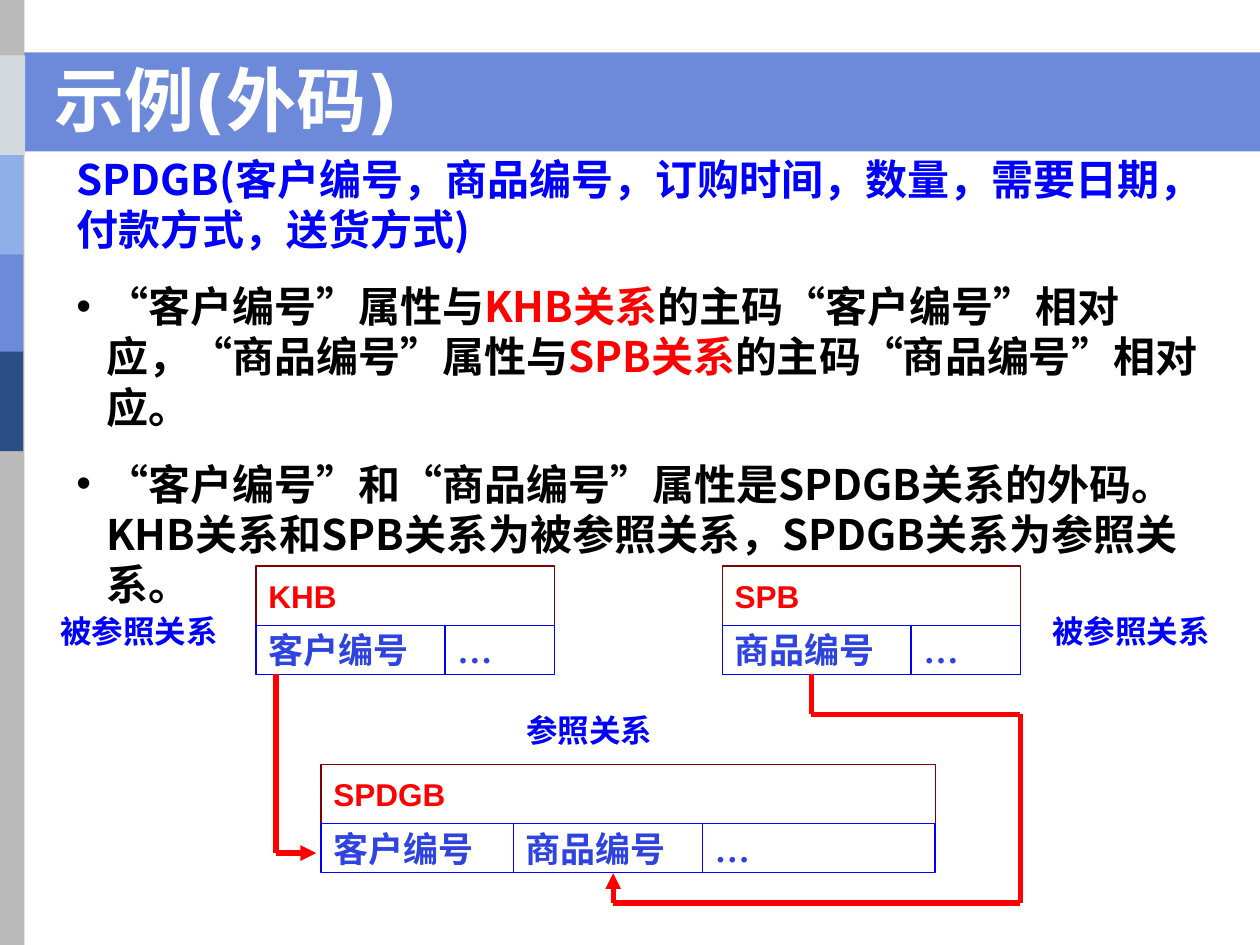
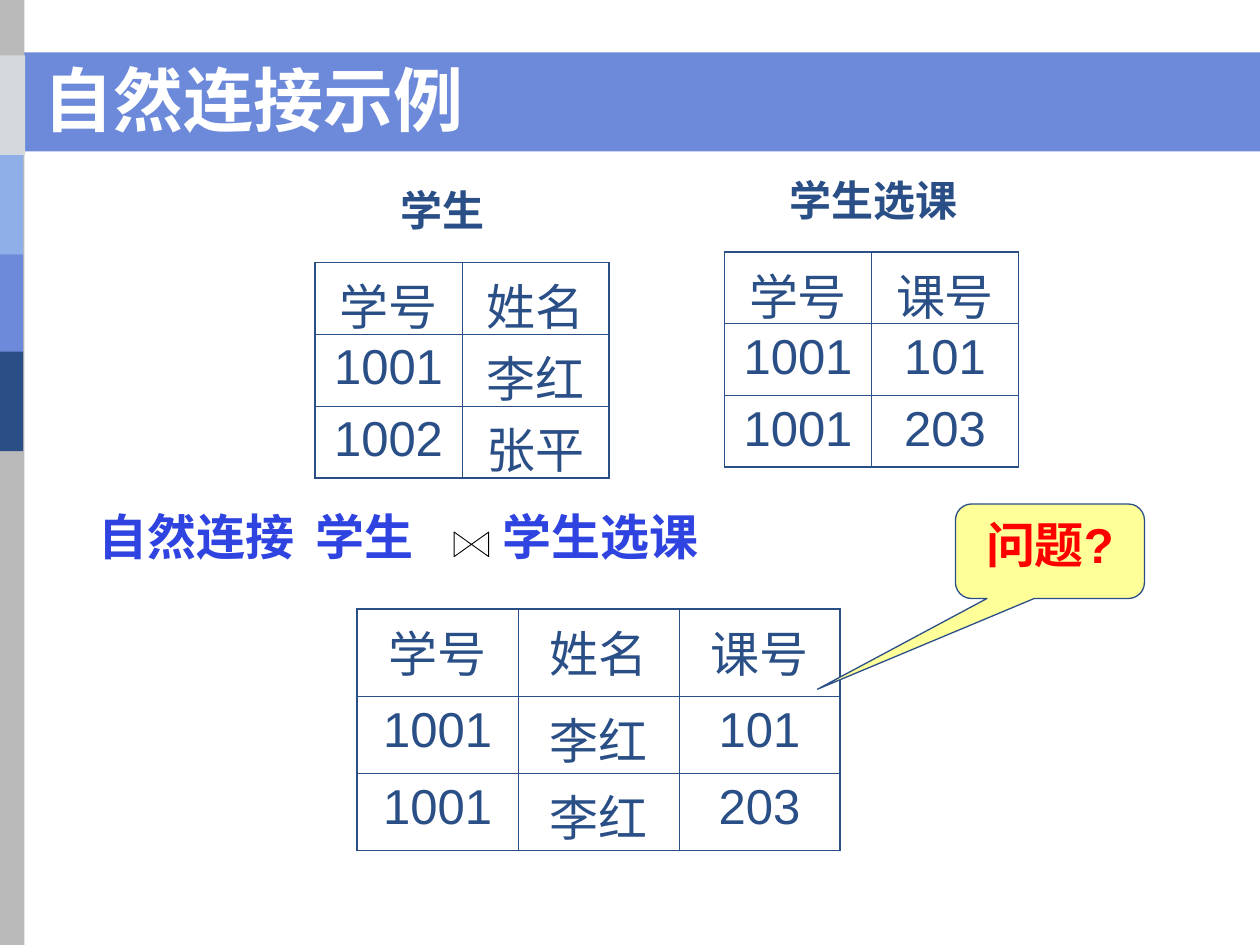
"""Build two database slides: a foreign key example and a natural join example."""
from lxml import etree
from pptx import Presentation
from pptx.dml.color import RGBColor
from pptx.enum import lang, shapes, text
from pptx.oxml.ns import qn
from pptx.util import Pt

COLORS = {
    "band": "6C89DA", "rail": "BABABA", "pale": "D3D9DD", "sky": "8FAFE9",
    "navy": "2A4F86", "white": "FFFFFF", "black": "000000", "blue": "0000FF",
    "field": "2E43E0", "red": "FF0000", "maroon": "800000", "yellow": "FFFF99",
}
CJK = "Noto Sans CJK SC"
BOX = shapes.MSO_SHAPE.RECTANGLE


def add_box(slide, kind, at, fill=None, line=None, width=0.75):
    box = slide.shapes.add_shape(kind, *map(Pt, at))
    box.shadow.inherit = False
    if fill:
        box.fill.solid()
        box.fill.fore_color.rgb = RGBColor.from_string(COLORS[fill])
    else:
        box.fill.background()
    if line:
        box.line.color.rgb = RGBColor.from_string(COLORS[line])
        box.line.width = Pt(width)
    else:
        box.line.fill.background()
    return box


def write(paragraph, pieces, size, color, font="Arial", bold=True, align="LEFT"):
    paragraph.alignment = getattr(text.PP_ALIGN, align)
    paragraph._p.get_or_add_pPr().set("hangingPunct", "0")
    for words, shade in pieces:
        run = paragraph.add_run()
        run.text = words
        run.font.size, run.font.bold, run.font.name = Pt(size), bold, font
        run.font.language_id = lang.MSO_LANGUAGE_ID.SIMPLIFIED_CHINESE
        run.font.color.rgb = RGBColor.from_string(COLORS[shade or color])
        east_asian = etree.Element(qn("a:ea"), typeface=CJK)
        run.font._element.find(qn("a:latin")).addnext(east_asian)


deck = Presentation()
deck.slide_width, deck.slide_height = Pt(720), Pt(540)

shared = [
    ("band", (0, 29.9, 720, 56.7)), ("rail", (-0.9, 0, 14.9, 540)),
    ("pale", (0, 31.7, 14.4, 56.9)), ("sky", (-1.2, 88.6, 14.4, 56.9)),
    ("band", (-1.2, 145.4, 14.4, 56.9)), ("navy", (-1.2, 200.9, 14.4, 56.9)),
]
slides = []
for title, left, width in [("示例(外码)", 24, 480), ("自然连接示例", 18, 408)]:
    slide = deck.slides.add_slide(deck.slide_layouts[6])
    for color, at in shared:
        add_box(slide, BOX, at, color)
    heading = slide.shapes.add_textbox(Pt(left), Pt(36), Pt(width), Pt(48)).text_frame
    heading.word_wrap = True
    heading.vertical_anchor = text.MSO_ANCHOR.BOTTOM
    write(heading.paragraphs[0], [(title, None)], 40, "white", "DejaVu Sans")
    slides.append(slide)
foreign_key, natural_join = slides

explanation = foreign_key.shapes.add_textbox(Pt(36.6), Pt(84.2), Pt(658), Pt(239)).text_frame
explanation.word_wrap = True
write(explanation.paragraphs[0],
      [("SPDGB(客户编号，商品编号，订购时间，数量，需要日期，付款方式，送货方式)", None)],
      24, "blue", CJK)
points = [
    [("“客户编号”属性与", None), ("KHB关系", "red"),
     ("的主码“客户编号”相对应，“商品编号”属性与", None), ("SPB关系", "red"),
     ("的主码“商品编号”相对应。", None)],
    [("“客户编号”和“商品编号”属性是SPDGB关系的外码。"
      "KHB关系和SPB关系为被参照关系，SPDGB关系为参照关系。", None)],
]
for pieces in points:
    point = explanation.add_paragraph()
    point.space_before = Pt(15)
    layout = point._p.get_or_add_pPr()
    layout.set("marL", str(Pt(17)))
    layout.set("indent", str(-Pt(17)))
    bullet_color = etree.SubElement(layout, qn("a:buClr"))
    etree.SubElement(bullet_color, qn("a:srgbClr"), val=COLORS["black"])
    etree.SubElement(layout, qn("a:buFont"), typeface="Arial")
    etree.SubElement(layout, qn("a:buChar"), char="•")
    write(point, pieces, 24, "black", CJK)

relations = [
    ("KHB", 146.3, 323.4, [("客户编号", 108), ("…", 62.6)]),
    ("SPB", 412.7, 323.4, [("商品编号", 108), ("…", 62.6)]),
    ("SPDGB", 183.4, 436.7, [("客户编号", 110), ("商品编号", 108), ("…", 133)]),
]
for relation, left, top, fields in relations:
    total = sum(width for _, width in fields)
    parts = [(relation, (left, top, total, 33.9), "maroon", 18, "red")]
    for field, width in fields:
        parts.append((field, (left, top + 33.9, width, 28.1), "blue", 20, "field"))
        left += width
    for words, at, line, size, color in parts:
        frame = add_box(foreign_key, BOX, at, line=line).text_frame
        frame.word_wrap = False
        frame.vertical_anchor = text.MSO_ANCHOR.MIDDLE
        font = "Times New Roman" if words == "…" else "Arial"
        write(frame.paragraphs[0], [(words, None)], size, color, font)

references = [
    [(157.7, 385.2), (157.7, 487.5), (180.7, 487.5)],
    [(463.7, 385.2), (463.7, 408.2), (583, 408.2), (583, 516),
     (350.4, 516), (350.4, 499)],
]
for route in references:
    for start, end in zip(route, route[1:]):
        segment = foreign_key.shapes.add_connector(
            shapes.MSO_CONNECTOR.STRAIGHT, *map(Pt, start + end))
        segment.line.color.rgb = RGBColor.from_string(COLORS["red"])
        segment.line.width = Pt(3)
        etree.SubElement(segment._element.spPr, qn("a:effectLst"))
    etree.SubElement(segment.line._get_or_add_ln(), qn("a:tailEnd"), type="triangle")

captions = [
    (foreign_key, "被参照关系", (27.4, 346, 108, 28.8), 18, "blue"),
    (foreign_key, "被参照关系", (594.3, 346, 108, 28.8), 18, "blue"),
    (foreign_key, "参照关系", (293.6, 402.5, 147.6, 28.8), 18, "blue"),
    (natural_join, "学生", (221.8, 102.2, 108, 36), 24, "navy"),
    (natural_join, "学生选课", (444.2, 96.1, 126, 36), 24, "navy"),
]
for slide, words, at, size, color in captions:
    caption = slide.shapes.add_textbox(*map(Pt, at)).text_frame
    caption.word_wrap = True
    write(caption.paragraphs[0], [(words, None)], size, color)

tables = [
    (180, 150, 84, [41, 41, 41], ["学号 姓名", "1001 李红", "1002 张平"]),
    (414, 144, 84, [41, 41, 41], ["学号 课号", "1001 101", "1001 203"]),
    (204, 348, 92, [50, 44, 44], ["学号 姓名 课号", "1001 李红 101", "1001 李红 203"]),
]
for left, top, column_width, heights, lines in tables:
    records = [line.split() for line in lines]
    last_row, last_column = len(records) - 1, len(records[0]) - 1
    grid = natural_join.shapes.add_table(
        last_row + 1, last_column + 1, Pt(left), Pt(top),
        Pt(column_width * (last_column + 1)), Pt(sum(heights))).table
    grid.first_row = grid.horz_banding = False
    for column in grid.columns:
        column.width = Pt(column_width)
    for r, record in enumerate(records):
        grid.rows[r].height = Pt(heights[r])
        for c, value in enumerate(record):
            cell = grid.cell(r, c)
            cell.margin_left = cell.margin_right = Pt(7.2)
            cell.margin_top = cell.margin_bottom = Pt(3.6)
            write(cell.text_frame.paragraphs[0], [(value, None)], 28, "navy",
                  bold=False, align="CENTER")
            outer = {"L": c == 0, "R": c == last_column, "T": r == 0, "B": r == last_row}
            for side, is_outer in outer.items():
                border = etree.SubElement(cell._tc.get_or_add_tcPr(), qn(f"a:ln{side}"),
                                          w=str(Pt(1.08 if is_outer else 0.45)))
                paint = etree.SubElement(border, qn("a:solidFill"))
                etree.SubElement(paint, qn("a:srgbClr"), val=COLORS["navy"])
            cell.fill.background()

expression = natural_join.shapes.add_textbox(Pt(30), Pt(286), Pt(612), Pt(60)).text_frame
expression.word_wrap = True
operands = expression.paragraphs[0]
stops = etree.SubElement(operands._p.get_or_add_pPr(), qn("a:tabLst"))
for position in (19.5, 143.5, 250):
    etree.SubElement(stops, qn("a:tab"), pos=str(Pt(position)), algn="l")
write(operands, [("\t自然连接\t学生\t学生选课", None)], 28, "field", "Times New Roman")

join_sign = add_box(natural_join, shapes.MSO_SHAPE.FLOWCHART_COLLATE,
                    (262.4, 301.2, 14, 19.7), "white", "black", 0.5)
join_sign.rotation = 270

question = add_box(natural_join, shapes.MSO_SHAPE.ROUNDED_RECTANGULAR_CALLOUT,
                   (546, 288, 108, 54), "yellow", "navy")
for i, amount in enumerate((-1.23, 1.46, 0.17)):
    question.adjustments[i] = amount
question.text_frame.vertical_anchor = text.MSO_ANCHOR.TOP
write(question.text_frame.paragraphs[0], [("问题?", None)], 28, "red", align="CENTER")

deck.save("out.pptx")
